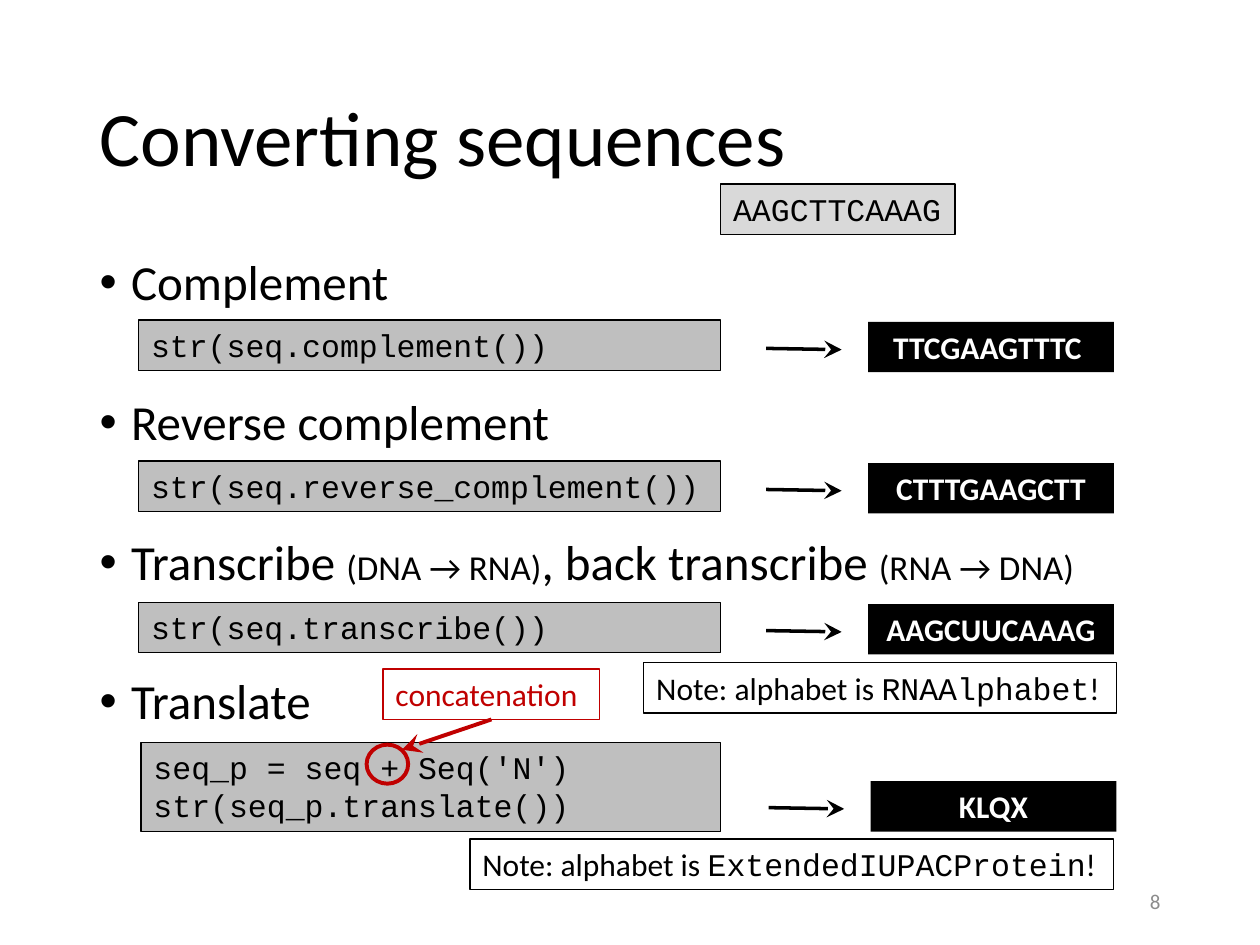
from lxml import etree
from pptx import Presentation
from pptx import util as u
from pptx.dml import color
from pptx.enum import shapes, text
from pptx.oxml import ns

COLORS = {"ink": "000000", "paper": "FFFFFF", "code": "BFBFBF",
          "input": "D9D9D9", "accent": "C00000", "number": "8C8C8C"}
SANS, MONO = "Calibri", "Courier New"
COLUMNS, ROWS = 100, 75


def rgb(name):
    return color.RGBColor.from_string(COLORS[name])


class SlideBuilder:
    """Draws styled elements on one slide, placed by grid columns and rows."""

    def __init__(self, presentation):
        self.column = presentation.slide_width / COLUMNS
        self.row = presentation.slide_height / ROWS
        self.slide = presentation.slides.add_slide(presentation.slide_layouts[1])

    def grid(self, *lengths):
        """Turn alternating columns and rows into slide lengths."""
        units = (self.column, self.row) * 2
        return [round(length * unit) for length, unit in zip(lengths, units)]

    def place(self, shape, area):
        shape.left, shape.top, shape.width, shape.height = self.grid(*area)

    def format_run(self, run, size, font=SANS, ink="ink", bold=False):
        run.font.size, run.font.name, run.font.bold = u.Pt(size), font, bold
        run.font.color.rgb = rgb(ink)

    def add_runs(self, paragraph, parts):
        """Add (words, size, font) parts to a paragraph."""
        for words, size, font in parts:
            run = paragraph.add_run()
            run.text = words
            self.format_run(run, size, font)

    def title(self, words, area):
        title = self.slide.shapes.title
        self.place(title, area)
        frame = title.text_frame
        frame.text = words
        frame.auto_size = text.MSO_AUTO_SIZE.NONE
        frame.vertical_anchor = text.MSO_ANCHOR.MIDDLE
        paragraph = frame.paragraphs[0]
        paragraph.alignment = text.PP_ALIGN.LEFT
        paragraph.line_spacing = 0.9
        self.format_run(paragraph.runs[0], 44)

    def bullets(self, items, area, gap):
        body = self.slide.placeholders[1]
        self.place(body, area)
        frame = body.text_frame
        frame.auto_size = text.MSO_AUTO_SIZE.NONE
        for index, parts in enumerate(items):
            paragraph = frame.add_paragraph() if index else frame.paragraphs[0]
            paragraph.line_spacing = 0.9
            paragraph.space_before = u.Pt(gap if index else 0)
            properties = paragraph._p.get_or_add_pPr()
            properties.set("marL", str(u.Inches(0.25)))
            properties.set("indent", str(u.Inches(-0.25)))
            font = etree.SubElement(properties, ns.qn("a:buFont"))
            font.set("typeface", "Arial")
            etree.SubElement(properties, ns.qn("a:buChar")).set("char", "•")
            self.add_runs(paragraph, parts)

    def box(self, words, area, font=SANS, fill=None, line="ink", ink="ink",
            size=18, bold=False, align=text.PP_ALIGN.LEFT, wrap=True):
        box = self.slide.shapes.add_textbox(*self.grid(*area))
        if fill:
            box.fill.solid()
            box.fill.fore_color.rgb = rgb(fill)
        if line:
            box.line.color.rgb = rgb(line)
            box.line.width = u.Pt(0.75)
        frame = box.text_frame
        frame.text = words
        frame.word_wrap = wrap
        frame.auto_size = text.MSO_AUTO_SIZE.SHAPE_TO_FIT_TEXT
        for paragraph in frame.paragraphs:
            paragraph.alignment = align
            for run in paragraph.runs:
                self.format_run(run, size, font, ink, bold)
        return box

    def note(self, alphabet, area):
        box = self.box("", area, wrap=False)
        self.add_runs(box.text_frame.paragraphs[0],
                      [("Note: alphabet is ", 18, SANS), (alphabet, 18, MONO), ("!", 18, SANS)])

    def ring(self, area, ink):
        ring = self.slide.shapes.add_shape(shapes.MSO_SHAPE.OVAL, *self.grid(*area))
        ring.shadow.inherit = False
        ring.fill.background()
        ring.line.color.rgb = rgb(ink)
        ring.line.width = u.Pt(2.25)

    def arrow(self, ends, ink="ink", width=2):
        arrow = self.slide.shapes.add_connector(
            shapes.MSO_CONNECTOR.STRAIGHT, *self.grid(*ends))
        arrow.line.color.rgb = rgb(ink)
        arrow.line.width = u.Pt(width)
        properties = arrow._element.spPr
        head = etree.SubElement(properties.find(ns.qn("a:ln")), ns.qn("a:tailEnd"))
        for key, value in (("type", "stealth"), ("w", "lg"), ("len", "lg")):
            head.set(key, value)
        etree.SubElement(properties, ns.qn("a:effectLst"))
        return arrow

    def conversion(self, code, code_area, result, left, top):
        """Code box, arrow and result box of one conversion."""
        self.box(code, code_area, MONO, "code")
        self.arrow((left - 8.1, top + 2.1, left - 2.1, top + 2.2))
        self.box(result, (left, top, 19.5, 4), fill="ink", line=None,
                 ink="paper", bold=True, align=text.PP_ALIGN.CENTER)


def main():
    presentation = Presentation()
    presentation.slide_width, presentation.slide_height = u.Inches(10), u.Inches(7.5)
    builder = SlideBuilder(presentation)

    builder.title("Converting sequences", (6.9, 4, 86.2, 14.5))
    builder.bullets([
        [("Complement", 28, SANS)],
        [("Reverse complement", 28, SANS)],
        [("Transcribe ", 28, SANS), ("(DNA → RNA)", 20, SANS),
         (", back transcribe ", 28, SANS), ("(RNA → DNA)", 20, SANS)],
        [("Translate", 28, SANS)],
    ], (6.9, 20, 86.2, 47.6), gap=49.6)
    builder.box("AAGCTTCAAAG", (57.2, 14.6, 18.6, 4), MONO, "input", wrap=False)

    conversions = [("complement", "TTCGAAGTTTC "),
                   ("reverse_complement", "CTTTGAAGCTT"),
                   ("transcribe", "AAGCUUCAAAG")]
    for index, (method, result) in enumerate(conversions):
        top = 25.4 + 11.2 * index
        builder.conversion(f"str(seq.{method}())", (11, top, 46.2, 4),
                           result, 68.9, top + 0.15)
    builder.conversion("seq_p = seq + Seq('N')\nstr(seq_p.translate())",
                       (11.2, 58.9, 46, 7.1), "KLQX", 69.1, 62)

    builder.note("RNAAlphabet", (51.1, 52.6, 37.5, 4))
    builder.note("ExtendedIUPACProtein", (37.3, 66.6, 51.1, 4))

    builder.ring((29.1, 59.1, 3.3, 3.1), "accent")
    label = builder.box("concatenation", (30.4, 53.1, 17.2, 4),
                        line="accent", ink="accent", wrap=False)
    pointer = builder.arrow((39, 57.1, 31.9, 59.5), "accent", 2.25)
    pointer.begin_connect(label, 2)

    number = builder.box("8", (70.6, 69.5, 22.5, 4), line=None, ink="number",
                         size=12, align=text.PP_ALIGN.RIGHT)
    number.text_frame.auto_size = text.MSO_AUTO_SIZE.NONE
    number.text_frame.vertical_anchor = text.MSO_ANCHOR.MIDDLE

    presentation.save("out.pptx")


if __name__ == "__main__":
    main()
